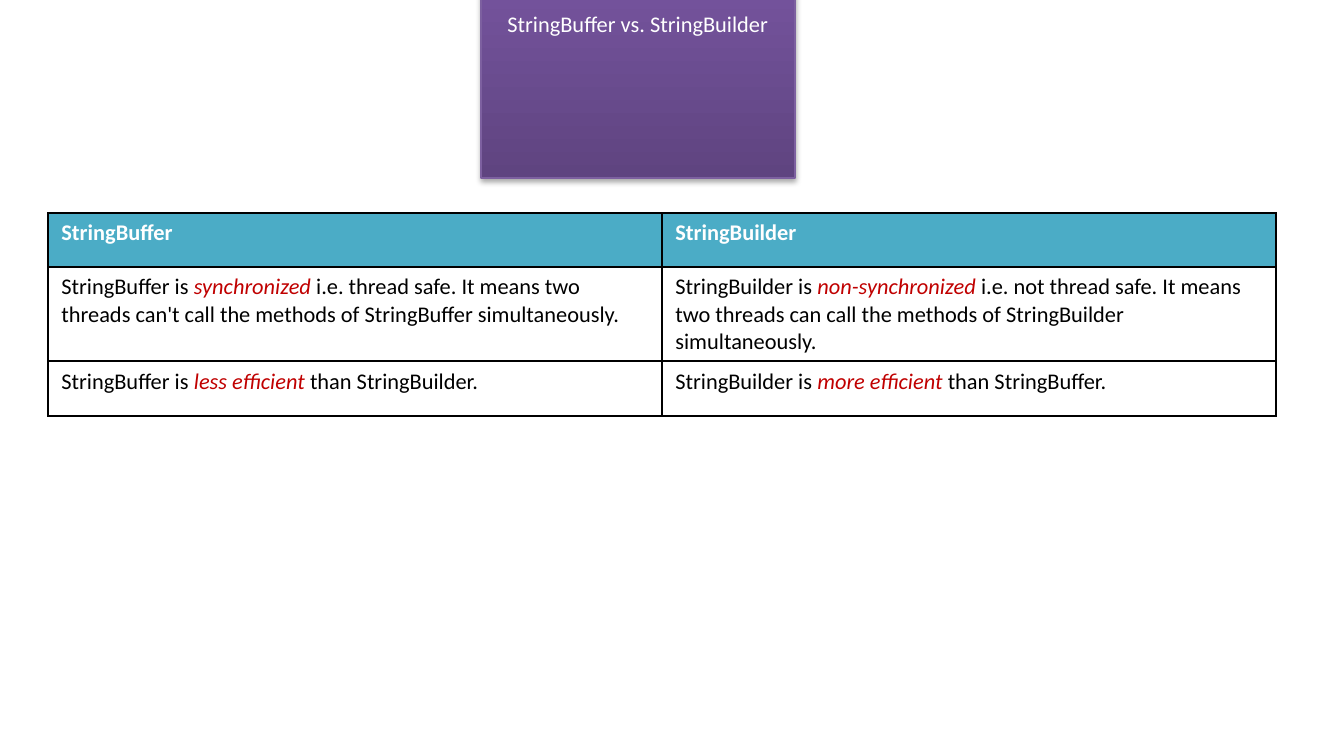
from dataclasses import dataclass

from lxml import etree
from pptx import Presentation
from pptx.dml.color import RGBColor
from pptx.enum.text import MSO_ANCHOR, MSO_AUTO_SIZE, PP_ALIGN
from pptx.oxml import parse_xml
from pptx.oxml.ns import nsdecls, qn
from pptx.util import Emu, Pt

CENTER, LEFT = PP_ALIGN.CENTER, PP_ALIGN.LEFT
MIDDLE, TOP = MSO_ANCHOR.MIDDLE, MSO_ANCHOR.TOP
FIT_SHAPE = MSO_AUTO_SIZE.SHAPE_TO_FIT_TEXT


@dataclass(frozen=True)
class Theme:
    font: str = "Calibri"
    size: int = 12
    text: str = "000000"
    light: str = "FFFFFF"
    accent: str = "C00000"
    header: str = "4BACC6"
    title_line: str = "7D60A0"
    title_stops: tuple = ((0, "5F4480"), (80, "7B58A6"), (100, "7C57A8"))
    border: str = "000000"


THEME = Theme()
SCALE = 914400 / 134.4


def px(length):
    return Emu(round(length * SCALE))


def write(frame, text, color=THEME.text, bold=False, align=LEFT):
    """Fill the frame's first paragraph; parts between asterisks become accented italics."""
    paragraph = frame.paragraphs[0]
    paragraph.alignment = align
    for index, part in enumerate(text.split("*")):
        emphasized = index % 2 == 1
        run = paragraph.add_run()
        run.text = part
        font = run.font
        font.name, font.size = THEME.font, Pt(THEME.size)
        font.bold, font.italic = bold, emphasized
        font.color.rgb = RGBColor.from_string(THEME.accent if emphasized else color)


prs = Presentation()
prs.slide_width, prs.slide_height = px(1344), px(739)
slide = prs.slides.add_slide(prs.slide_layouts[5])

# Title bar
title = slide.shapes.title
title.left, title.top, title.width, title.height = px(481), px(3), px(314), px(41)
title.line.color.rgb = RGBColor.from_string(THEME.title_line)
title.line.width = Pt(0.75)
title.fill.gradient()
title_props = title.element.spPr
stops = "".join(
    f'<a:gs pos="{position * 1000}"><a:srgbClr val="{color}"/></a:gs>'
    for position, color in THEME.title_stops
)
title_props.replace(
    title_props.find(qn("a:gradFill")),
    parse_xml(
        f'<a:gradFill {nsdecls("a")} rotWithShape="1"><a:gsLst>{stops}</a:gsLst>'
        '<a:lin ang="16200000" scaled="0"/></a:gradFill>'
    ),
)
title_props.append(parse_xml(
    f'<a:effectLst {nsdecls("a")}>'
    '<a:outerShdw blurRad="40000" dist="23000" dir="5400000" rotWithShape="0">'
    '<a:srgbClr val="000000"><a:alpha val="35000"/></a:srgbClr>'
    '</a:outerShdw></a:effectLst>'
))
title_text = title.text_frame
title_text.word_wrap = True
title_text.auto_size = FIT_SHAPE
title_text.vertical_anchor = MIDDLE
write(title_text, "StringBuffer vs. StringBuilder", color=THEME.light, align=CENTER)

# Comparison table
COMPARISON = [
    ("StringBuffer", "StringBuilder"),
    (
        "StringBuffer is *synchronized* i.e. thread safe. It means two threads "
        "can't call the methods of StringBuffer simultaneously.",
        "StringBuilder is *non-synchronized* i.e. not thread safe. It means two threads "
        "can call the methods of StringBuilder simultaneously.",
    ),
    (
        "StringBuffer is *less efficient* than StringBuilder.",
        "StringBuilder is *more efficient* than StringBuffer.",
    ),
]
ROW_HEIGHTS = (54, 94, 55)
COLUMN_WIDTH = 614

comparison = slide.shapes.add_table(
    len(COMPARISON), 2, px(48), px(213), px(2 * COLUMN_WIDTH), px(sum(ROW_HEIGHTS))
).table
for column in comparison.columns:
    column.width = px(COLUMN_WIDTH)

for row_index, (texts, height) in enumerate(zip(COMPARISON, ROW_HEIGHTS)):
    comparison.rows[row_index].height = px(height)
    is_header = row_index == 0
    for column_index, text in enumerate(texts):
        cell = comparison.cell(row_index, column_index)
        cell.vertical_anchor = TOP
        write(cell.text_frame, text, color=THEME.light if is_header else THEME.text,
              bold=is_header)
        cell_props = cell._tc.get_or_add_tcPr()
        for side in ("lnL", "lnR", "lnT", "lnB"):
            edge = etree.SubElement(cell_props, qn(f"a:{side}"), w=str(Pt(1)))
            edge_fill = etree.SubElement(edge, qn("a:solidFill"))
            etree.SubElement(edge_fill, qn("a:srgbClr"), val=THEME.border)
        if is_header:
            cell.fill.solid()
            cell.fill.fore_color.rgb = RGBColor.from_string(THEME.header)
        else:
            cell.fill.background()

prs.save("out.pptx")
